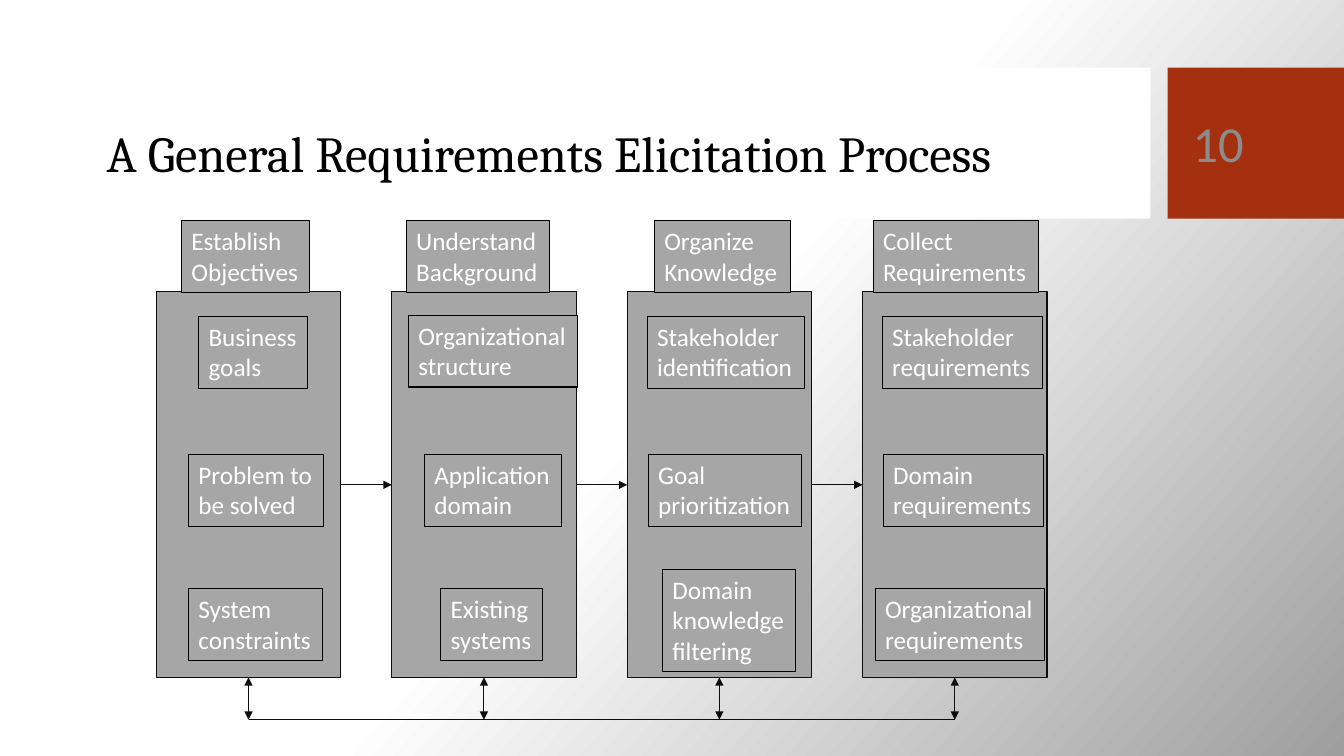
"""Build the slide on a general requirements elicitation process."""
from copy import deepcopy

from lxml.etree import SubElement
from pptx import Presentation
from pptx.dml.color import RGBColor
from pptx.enum.shapes import MSO_CONNECTOR as LINK, MSO_SHAPE as SHAPE
from pptx.enum.text import MSO_ANCHOR as ANCHOR, MSO_AUTO_SIZE as FIT, PP_ALIGN as ALIGN
from pptx.oxml.ns import qn
from pptx.util import Inches, Pt

GREY, INK, BLACK, WHITE, RED = "A6A6A6", "0D0D0D", "000000", "FFFFFF", "A5300F"
LEFT, TOP, WIDE, TALL = 1.55, 2.89, 1.83, 3.83
STEP, RAIL = 2.335, 7.14
STAGES = [
    [("Establish\nObjectives", 1.8, 2.19, 1.27),
     ("Business\ngoals", 1.97, 3.14, 1.08),
     ("Problem to\nbe solved", 1.87, 4.51, 1.34),
     ("System\nconstraints", 1.87, 5.84, 1.33)],
    [("Understand\nBackground", 4.03, 2.19, 1.42),
     ("Organizational\nstructure", 4.05, 3.13, 1.68),
     ("Application\ndomain", 4.21, 4.51, 1.36),
     ("Existing\nsystems", 4.37, 5.84, 1.01)],
    [("Organize\nKnowledge", 6.49, 2.19, 1.35),
     ("Stakeholder\nidentification", 6.42, 3.14, 1.56),
     ("Goal\nprioritization", 6.43, 4.51, 1.52),
     ("Domain\nknowledge\nfiltering", 6.57, 5.65, 1.32)],
    [("Collect\nRequirements", 8.66, 2.19, 1.64),
     ("Stakeholder\nrequirements", 8.75, 3.14, 1.59),
     ("Domain\nrequirements", 8.76, 4.51, 1.59),
     ("Organizational\nrequirements", 8.68, 5.84, 1.68)],
]


def color(text):
    """Turn a hex string into a colour."""
    return RGBColor.from_string(text)


def shade(slide):
    """Fill the background with a slanted white to grey gradient."""
    fill = slide.background.fill
    fill.gradient()
    fill.gradient_angle = 318
    first = fill.gradient_stops[0]
    first.color.rgb = color(WHITE)
    stops = slide.background._cSld.find(".//" + qn("a:gsLst"))
    stops.insert(1, deepcopy(stops[0]))
    for stop, place, tint in zip(fill.gradient_stops, (0, 0.5, 1), (WHITE, WHITE, "9E9E9E")):
        stop.position = place
        stop.color.rgb = color(tint)


def block(slide, x, y, w, h, fill, edge=None):
    """Draw a flat rectangle, outlined if an edge colour is given."""
    rect = slide.shapes.add_shape(SHAPE.RECTANGLE, Inches(x), Inches(y), Inches(w), Inches(h))
    rect.shadow.inherit = False
    rect.fill.solid()
    rect.fill.fore_color.rgb = color(fill)
    if edge:
        rect.line.color.rgb = color(edge)
        rect.line.width = Pt(0.75)
    else:
        rect.line.fill.background()
    return rect


def write(frame, text, size, face, tint, anchor):
    """Put left-aligned text, one paragraph a line, into a frame."""
    frame.text = text
    frame.vertical_anchor = anchor
    for para in frame.paragraphs:
        para.alignment = ALIGN.LEFT
        para.font.size = Pt(size)
        para.font.name = face
        para.font.color.rgb = color(tint)


def label(slide, text, x, y, w):
    """Draw a grey box that is as tall as its lines of text."""
    high = 0.1 + 0.305 * len(text.split("\n"))
    frame = block(slide, x, y, w, high, GREY, BLACK).text_frame
    write(frame, text, 18, "Calibri", WHITE, ANCHOR.TOP)
    frame.word_wrap = False
    frame.auto_size = FIT.SHAPE_TO_FIT_TEXT


def heading(slide, text, x, y, w, h, face, tint):
    """Add large text, centred upright, without a box."""
    frame = slide.shapes.add_textbox(Inches(x), Inches(y), Inches(w), Inches(h)).text_frame
    frame.word_wrap = True
    write(frame, text, 36, face, tint, ANCHOR.MIDDLE)
    return frame


def link(slide, x1, y1, x2, y2, *ends):
    """Draw a thin line with arrowheads at the named ends."""
    line = slide.shapes.add_connector(LINK.STRAIGHT, Inches(x1), Inches(y1), Inches(x2), Inches(y2))
    line.line.color.rgb = color(INK)
    line.line.width = Pt(0.75)
    for end in ends:
        SubElement(line.line._get_or_add_ln(), qn(f"a:{end}"), type="triangle")
    SubElement(line._element.spPr, qn("a:effectLst"))


def main():
    """Build and save the slide."""
    deck = Presentation()
    deck.slide_width, deck.slide_height = Inches(13.33), Inches(7.5)
    slide = deck.slides.add_slide(deck.slide_layouts[6])
    shade(slide)
    block(slide, 0, 0.67, 11.41, 1.5, WHITE)
    block(slide, 11.58, 0.67, 1.75, 1.5, RED)
    title = heading(slide, "A General Requirements Elicitation Process",
                    0.96, 0.96, 10.51, 1.18, "Cambria", BLACK)
    title.paragraphs[0].line_spacing = 0.9
    heading(slide, "10", 11.73, 0.82, 1.26, 1.19, "Calibri", "8C8C8C")

    lefts = [LEFT + STEP * i for i in range(len(STAGES))]
    mids = [x + WIDE / 2 for x in lefts]
    foot = TOP + TALL
    for x in lefts:
        block(slide, x, TOP, WIDE, TALL, GREY, INK)
    for x, after in zip(lefts, lefts[1:]):
        link(slide, x + WIDE, 4.81, after, 4.81, "tailEnd")
    link(slide, mids[0], RAIL, mids[-1], RAIL)
    for mid in mids:
        link(slide, mid, RAIL, mid, foot, "headEnd", "tailEnd")
    for stage in STAGES:
        for text, x, y, w in stage:
            label(slide, text, x, y, w)
    deck.save("out.pptx")


main()
